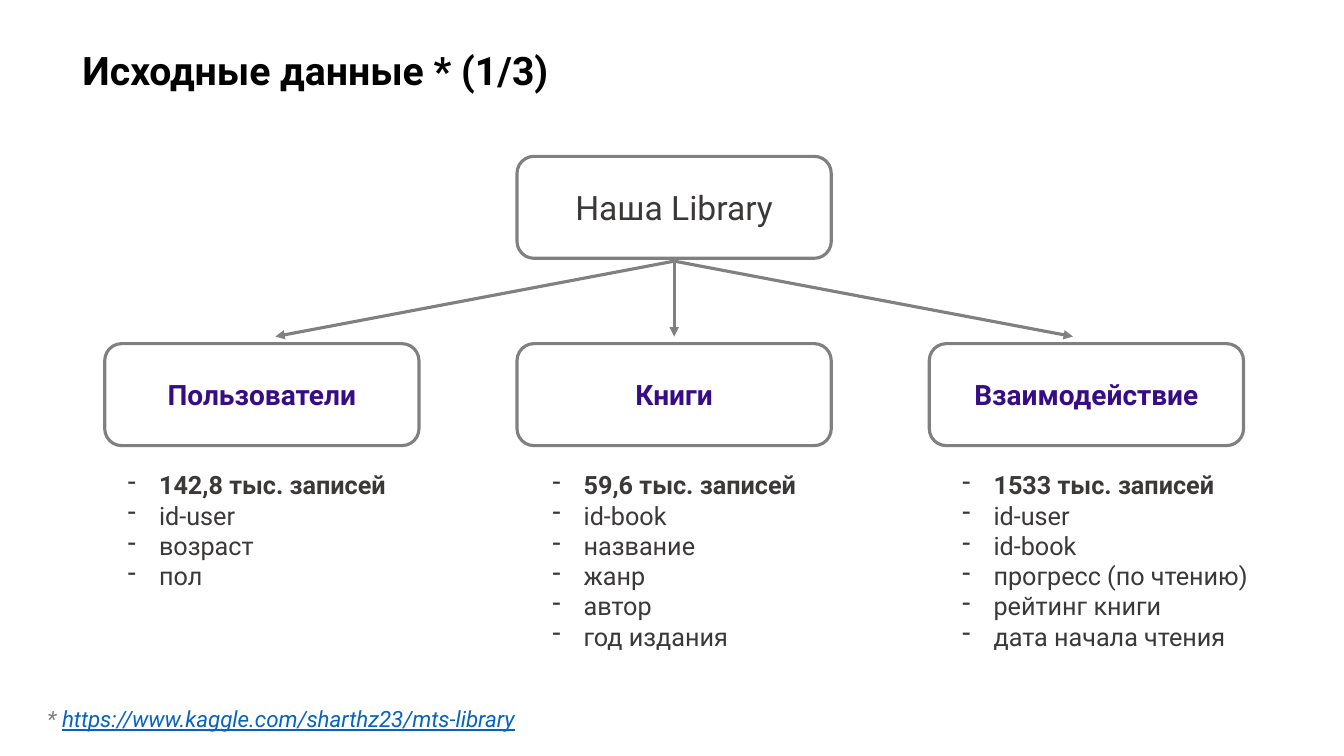
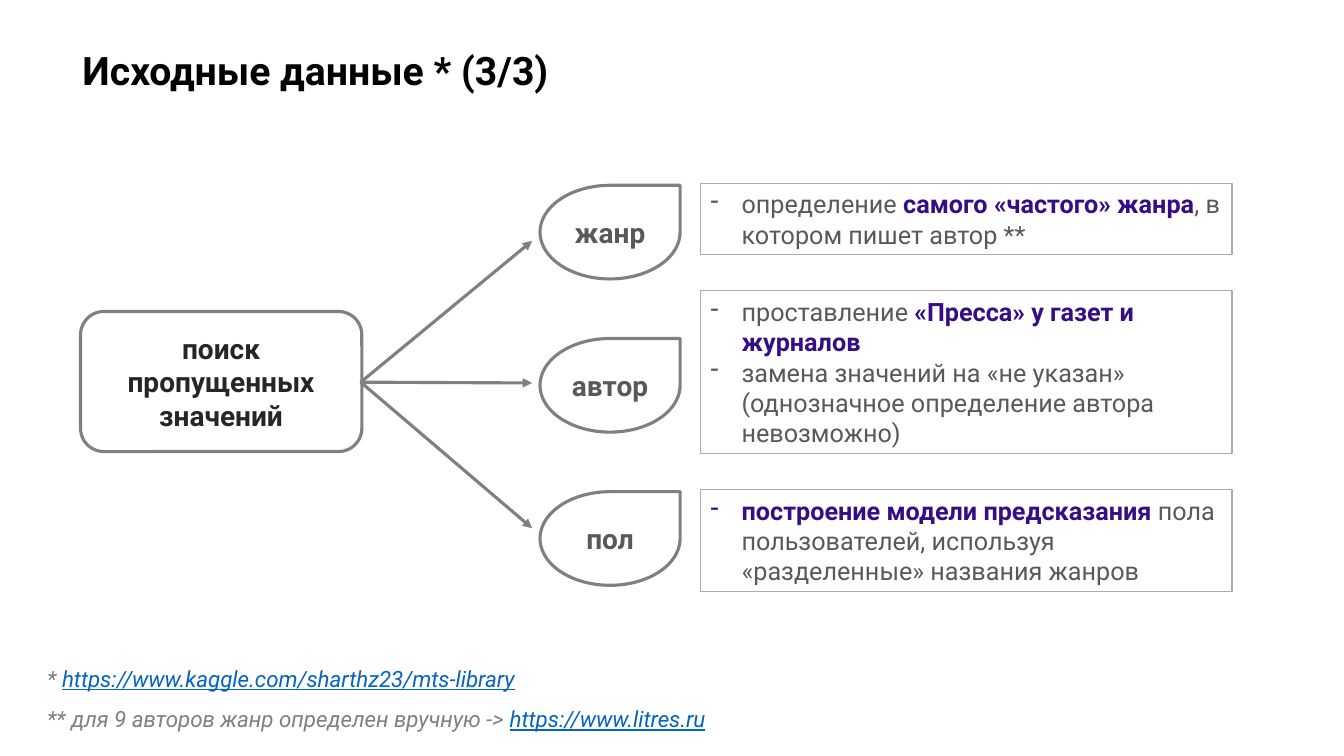
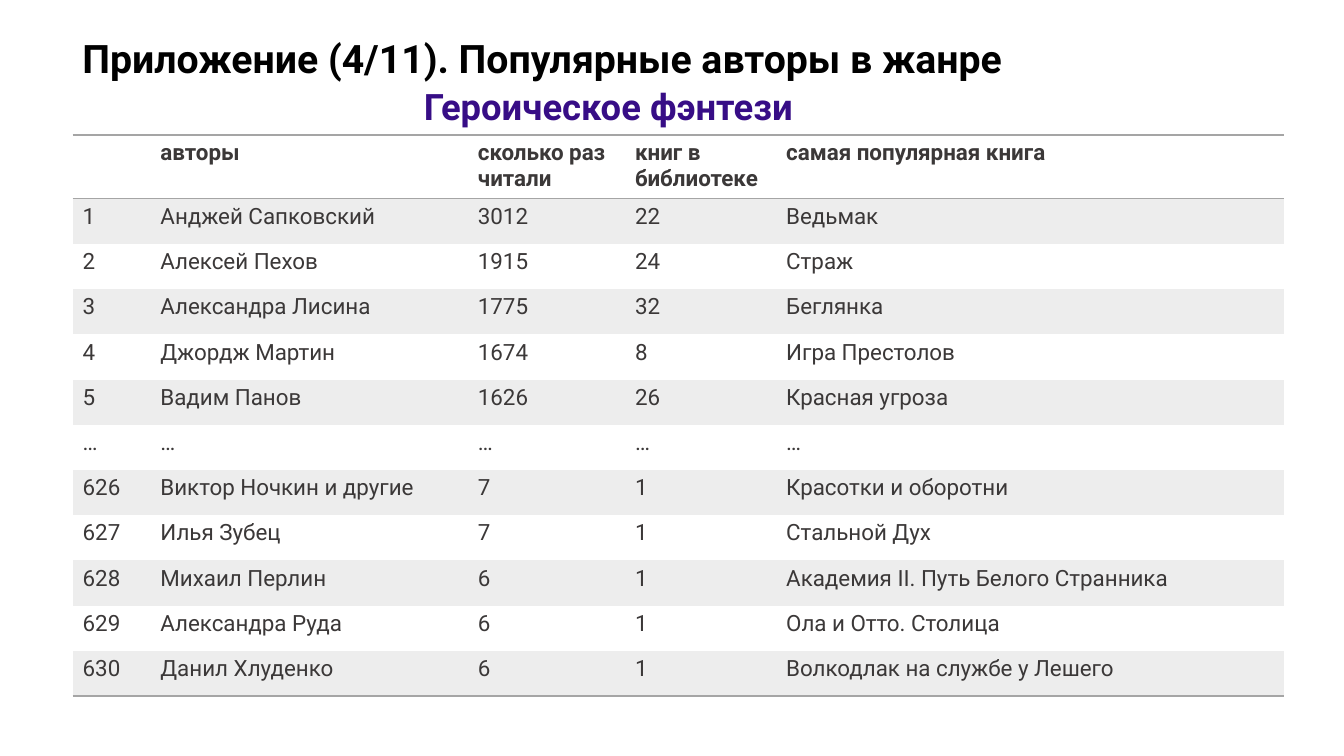
from lxml import etree
from pptx import Presentation
from pptx.dml.color import RGBColor
from pptx.enum.shapes import MSO_CONNECTOR, MSO_SHAPE
from pptx.enum.text import MSO_ANCHOR, PP_ALIGN
from pptx.oxml.ns import qn
from pptx.util import Cm, Pt

ROUNDED = MSO_SHAPE.ROUNDED_RECTANGLE
RECTANGLE = MSO_SHAPE.RECTANGLE
TEARDROP = MSO_SHAPE.TEAR
STRAIGHT = MSO_CONNECTOR.STRAIGHT
MIDDLE = MSO_ANCHOR.MIDDLE
LEFT = PP_ALIGN.LEFT
CENTER = PP_ALIGN.CENTER

BLACK = RGBColor(0x00, 0x00, 0x00)
CHARCOAL = RGBColor(0x26, 0x26, 0x26)
DARK = RGBColor(0x3B, 0x38, 0x38)
TEXT_GRAY = RGBColor(0x59, 0x59, 0x59)
GRAY = RGBColor(0x80, 0x80, 0x80)
FRAME_GRAY = RGBColor(0xAF, 0xAB, 0xAB)
RULE_GRAY = RGBColor(0xA5, 0xA5, 0xA5)
BAND_GRAY = RGBColor(0xED, 0xED, 0xED)
PURPLE = RGBColor(0x37, 0x0D, 0x86)
LINK_BLUE = RGBColor(0x05, 0x63, 0xC1)

FONT = "Roboto"
PLAIN_TABLE = "{2D5ABB26-0587-4C30-8999-92F81FD0307C}"
TITLE = {"size": Pt(28), "bold": True, "color": BLACK}
SUBTITLE = {"size": Pt(26), "bold": True, "color": PURPLE}
ROOT = {"size": Pt(24), "color": DARK}
GROUP = {"size": Pt(20), "bold": True, "color": PURPLE}
HUB = {"size": Pt(20), "bold": True, "color": CHARCOAL}
DROP = {"size": Pt(20), "bold": True, "color": TEXT_GRAY}
ITEM = {"size": Pt(18), "color": DARK}
COUNT = {"size": Pt(18), "bold": True, "color": DARK}
BODY = {"size": Pt(18), "color": TEXT_GRAY}
ACCENT = {"size": Pt(18), "bold": True, "color": PURPLE}
NOTE = {"size": Pt(16), "italic": True, "color": GRAY}
LINK = {"size": Pt(16), "italic": True, "underline": True, "color": LINK_BLUE}
CELL = {"size": Pt(16), "color": DARK}
HEADER = {"size": Pt(16), "bold": True, "color": DARK}

DATASET_NOTE = [("* ", NOTE), ("https://www.kaggle.com/sharthz23/mts-library", LINK)]


class Deck:
    """Holds the shared style and the current slide."""

    def __init__(self):
        self.presentation = Presentation()
        self.presentation.slide_width = Cm(33.87)
        self.presentation.slide_height = Cm(19.05)
        self.slide = None

    def new_slide(self):
        layout = self.presentation.slide_layouts[6]
        self.slide = self.presentation.slides.add_slide(layout)

    def set_text(self, frame, paragraphs, align=LEFT, bullet=None):
        frame.word_wrap = True
        for index, runs in enumerate(paragraphs):
            paragraph = frame.add_paragraph() if index else frame.paragraphs[0]
            paragraph.alignment = align
            if bullet:
                self.indent(paragraph, 0.79, -0.79)
                properties = paragraph._p.get_or_add_pPr()
                etree.SubElement(properties, qn("a:buChar"), char=bullet)
            for text, style in runs:
                run = paragraph.add_run()
                run.text = text
                run.font.name = FONT
                for name, value in style.items():
                    if name == "color":
                        run.font.color.rgb = value
                    else:
                        setattr(run.font, name, value)

    def indent(self, paragraph, margin, first_line=0):
        properties = paragraph._p.get_or_add_pPr()
        properties.set("marL", str(Cm(margin)))
        properties.set("indent", str(Cm(first_line)))

    def text(self, left, top, width, height, paragraphs, bullet=None):
        box = self.slide.shapes.add_textbox(Cm(left), Cm(top), Cm(width), Cm(height))
        self.set_text(box.text_frame, paragraphs, bullet=bullet)
        return box.text_frame

    def title(self, text):
        self.text(1.83, 1.04, 20.3, 1.45, [[(text, TITLE)]])

    def footnote(self, top, runs):
        self.text(0.94, top, 21.5, 0.94, [runs])

    def shape(self, kind, left, top, width, height, paragraphs, align=CENTER,
              bullet=None, color=GRAY, weight=2.25, margin=0.25):
        shape = self.slide.shapes.add_shape(
            kind, Cm(left), Cm(top), Cm(width), Cm(height))
        shape.shadow.inherit = False
        shape.fill.background()
        shape.line.color.rgb = color
        shape.line.width = Pt(weight)
        frame = shape.text_frame
        frame.vertical_anchor = MIDDLE
        frame.margin_left = frame.margin_right = Cm(margin)
        self.set_text(frame, paragraphs, align, bullet)

    def arrow(self, start, end):
        points = [Cm(value) for value in (*start, *end)]
        connector = self.slide.shapes.add_connector(STRAIGHT, *points)
        connector.line.color.rgb = GRAY
        connector.line.width = Pt(2.25)
        properties = connector._element.spPr
        etree.SubElement(properties.get_or_add_ln(), qn("a:tailEnd"), type="triangle")
        etree.SubElement(properties, qn("a:effectLst"))

    def border(self, cell, sides):
        properties = cell._tc.get_or_add_tcPr()
        for position, side in enumerate(sides):
            line = etree.Element(qn(f"a:ln{side}"), w=str(Pt(1)))
            fill = etree.SubElement(line, qn("a:solidFill"))
            etree.SubElement(fill, qn("a:srgbClr"), val=str(RULE_GRAY))
            properties.insert(position, line)

    def table(self, left, top, widths, header_height, row_height, rows):
        height = header_height + row_height * (len(rows) - 1)
        graphic = self.slide.shapes.add_table(
            len(rows), len(widths), Cm(left), Cm(top), Cm(sum(widths)), Cm(height))
        table = graphic.table
        table.first_row = table.horz_banding = False
        table._tbl.tblPr.find(qn("a:tableStyleId")).text = PLAIN_TABLE
        for column, width in zip(table.columns, widths):
            column.width = Cm(width)
        last = len(rows) - 1
        for row_index, values in enumerate(rows):
            table.rows[row_index].height = Cm(row_height if row_index else header_height)
            for column_index, value in enumerate(values):
                cell = table.cell(row_index, column_index)
                if value:
                    style = CELL if row_index else HEADER
                    self.set_text(cell.text_frame, [[(value, style)]])
                if row_index % 2:
                    cell.fill.solid()
                    cell.fill.fore_color.rgb = BAND_GRAY
                else:
                    cell.fill.background()
                self.border(cell, {0: "TB", last: "B"}.get(row_index, ""))


def dataset_slide(deck):
    deck.new_slide()
    deck.title("Исходные данные * (1/3)")
    deck.footnote(17.65, DATASET_NOTE)
    box_left, box_step, box_width, box_height = 2.64, 10.39, 7.92, 2.57
    deck.shape(ROUNDED, box_left + box_step, 3.94, box_width, box_height,
               [[("Наша Library", ROOT)]])
    groups = [
        ("Пользователи", 2.97, ["142,8 тыс. записей", "id-user", "возраст", "пол"]),
        ("Книги", 13.67, ["59,6 тыс. записей", "id-book", "название", "жанр",
                          "автор", "год издания"]),
        ("Взаимодействие", 24, ["1533 тыс. записей", "id-user", "id-book",
                                "прогресс (по чтению)", "рейтинг книги",
                                "дата начала чтения"]),
    ]
    center = box_left + box_step + box_width / 2
    for index, (name, list_left, (count, *fields)) in enumerate(groups):
        deck.shape(ROUNDED, box_left + index * box_step, 8.66, box_width, box_height,
                   [[(name, GROUP)]])
        items = [[(count, COUNT)]] + [[(field, ITEM)] for field in fields]
        deck.text(list_left, 11.71, 7.92, 0.51 + 0.73 * len(items), items, bullet="-")
        deck.arrow((center, 6.58), (center + (index - 1) * 10.05, 8.48))


def missing_values_slide(deck):
    deck.new_slide()
    deck.title("Исходные данные * (3/3)")
    deck.footnote(16.64, DATASET_NOTE)
    deck.footnote(17.65, [("** для 9 авторов жанр определен вручную -> ", NOTE),
                          ("https://www.litres.ru", LINK)])
    deck.shape(ROUNDED, 2.03, 7.85, 7.09, 3.53, [[("поиск пропущенных значений", HUB)]])
    branches = [
        ("жанр", 6.07, 4.62, 1.8, [
            [("определение ", BODY), ("самого «частого» жанра", ACCENT),
             (", в котором пишет автор **", BODY)]]),
        ("автор", 9.65, 7.32, 4.11, [
            [("проставление ", BODY), ("«Пресса» у газет и журналов", ACCENT)],
            [("замена значений на «не указан» (однозначное определение автора "
              "невозможно)", BODY)]]),
        ("пол", 13.31, 12.34, 2.57, [
            [("построение модели предсказания", ACCENT),
             (" пола пользователей, используя «разделенные» названия жанров", BODY)]]),
    ]
    for index, (name, arrow_end, top, height, actions) in enumerate(branches):
        deck.arrow((9.09, 9.63), (13.41, arrow_end))
        deck.shape(TEARDROP, 13.61, 4.67 + index * 3.86, 3.53, 2.36,
                   [[(name, DROP)]], margin=0)
        deck.shape(RECTANGLE, 17.65, top, 13.4, height, actions, align=LEFT,
                   bullet="-", color=FRAME_GRAY, weight=1)


def authors_slide(deck):
    deck.new_slide()
    frame = deck.text(1.83, 0.74, 25.37, 2.64, [
        [("Приложение (4/11). Популярные авторы в жанре", TITLE)],
        [("Героическое фэнтези", SUBTITLE)]])
    subtitle = frame.paragraphs[1]
    subtitle.space_before = Pt(2)
    deck.indent(subtitle, 8.6)
    deck.table(1.83, 3.4, [1.96, 8, 3.96, 3.81, 12.8], 1.61, 1.14, [
        ("", "авторы", "сколько раз читали", "книг в библиотеке", "самая популярная книга"),
        ("1", "Анджей Сапковский", "3012", "22", "Ведьмак"),
        ("2", "Алексей Пехов", "1915", "24", "Страж"),
        ("3", "Александра Лисина", "1775", "32", "Беглянка"),
        ("4", "Джордж Мартин", "1674", "8", "Игра Престолов"),
        ("5", "Вадим Панов", "1626", "26", "Красная угроза"),
        ("…",) * 5,
        ("626", "Виктор Ночкин и другие", "7", "1", "Красотки и оборотни"),
        ("627", "Илья Зубец", "7", "1", "Стальной Дух"),
        ("628", "Михаил Перлин", "6", "1", "Академия II. Путь Белого Странника"),
        ("629", "Александра Руда", "6", "1", "Ола и Отто. Столица"),
        ("630", "Данил Хлуденко", "6", "1", "Волкодлак на службе у Лешего"),
    ])


def main():
    deck = Deck()
    dataset_slide(deck)
    missing_values_slide(deck)
    authors_slide(deck)
    deck.presentation.save("out.pptx")


if __name__ == "__main__":
    main()
